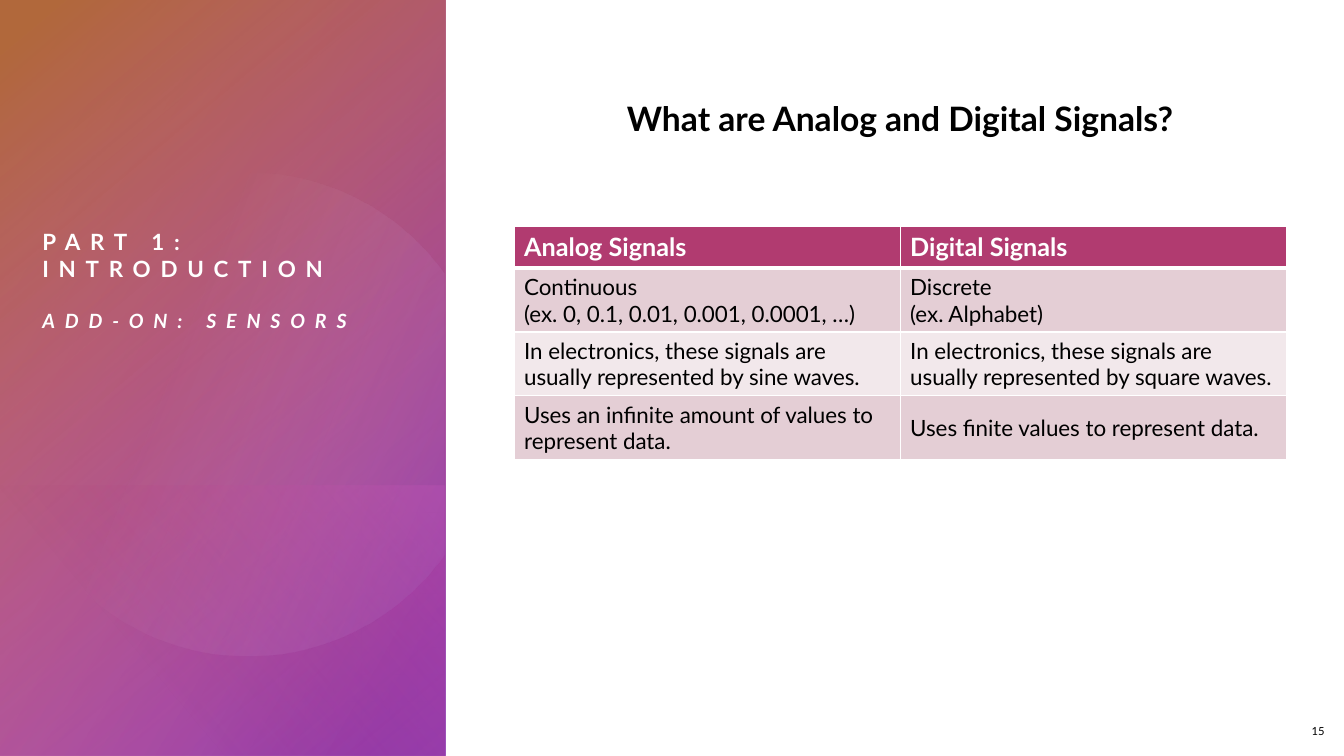
from math import acos, cos, degrees, radians, sin

from lxml.etree import SubElement
from pptx import Presentation
from pptx.dml.color import RGBColor
from pptx.enum.shapes import MSO_SHAPE
from pptx.enum.text import MSO_ANCHOR, PP_ALIGN
from pptx.oxml.ns import qn
from pptx.util import Pt

rgb = RGBColor.from_string
MAGENTA = "B13B70"


def paint_gradient(sp, angle, stops):
    """Fill with two (position %, colour, opacity %) stops; angle is clockwise."""
    sp.shadow.inherit = False
    sp.line.fill.background()
    sp.fill.gradient()
    sp.fill.gradient_angle = 360 - angle
    for stop, (position, color, _) in zip(sp.fill.gradient_stops, stops):
        stop.position = position / 100
        stop.color.rgb = rgb(color)
    for clr, (_, _, opacity) in zip(sp._element.iter(qn("a:srgbClr")), stops):
        SubElement(clr, qn("a:alpha"), val=str(opacity * 1000))


def set_font(p, size, color, bold=False, italic=False):
    p.font.name = "Lato"
    p.font.size = Pt(size)
    p.font.color.rgb = rgb(color)
    p.font.bold = bold
    p.font.italic = italic


prs = Presentation()
prs.slide_width, prs.slide_height = Pt(960), Pt(540)
s = prs.slides.add_slide(prs.slide_layouts[6])

# Left panel: rectangles turned by 90 degrees and mirrored
panels = [
    (-110.88, 110.88, 540, 318.24, 60, [(8, "903BB1", 100), (100, "C34DB4", 72)]),
    (-110.88, 110.88, 540, 318.24, 40, [(0, MAGENTA, 0), (96, "B1683B", 100)]),
    (62.64, 285.12, 192.96, 316.8, 130, [(2, "C34DB4", 35), (67, MAGENTA, 0)]),
]
for x, y, w, h, angle, stops in panels:
    sp = s.shapes.add_shape(MSO_SHAPE.RECTANGLE, Pt(x), Pt(y), Pt(w), Pt(h))
    sp.rotation = 90
    sp._element.spPr.find(qn("a:xfrm")).set("flipH", "1")
    paint_gradient(sp, angle, stops)

# Disc cut off by the right edge of the panel
turn, radius, edge = 101.6, 172.4, 140.4
cut = degrees(acos(edge / radius))
steps = 120
outline = []
for i in range(steps + 1):
    a = radians(cut + (360 - 2 * cut) * i / steps - turn)
    outline.append((Pt(169.9 + radius * cos(a)), Pt(287.2 + radius * sin(a))))
builder = s.shapes.build_freeform(*outline[0], scale=1.0)
builder.add_line_segments(outline[1:], close=True)
disc = builder.convert_to_shape()
disc.rotation = turn
paint_gradient(disc, 280, [(39, "F1D6E2", 0), (100, "903BB1", 29)])

# Text boxes: left, top, width, height, inset, alignment, paragraphs
texts = [
    (30.24, 81.36, 255.6, 237.6, 0, PP_ALIGN.LEFT,
     [("PART 1:\vINTRODUCTION", 16, "FFFFFF", True, False),
      ("ADD-ON: SENSORS", 14, "FFFFFF", True, True)]),
    (367.2, 37.44, 551.52, 87.84, 0, PP_ALIGN.CENTER,
     [("What are Analog and Digital Signals?", 24, "000000", True, False)]),
    (918.72, 504.72, 34.56, 35.28, 7.2, PP_ALIGN.RIGHT,
     [("15", 8, "000000", False, False)]),
]
frames = []
for x, y, w, h, inset, align, paragraphs in texts:
    tf = s.shapes.add_textbox(Pt(x), Pt(y), Pt(w), Pt(h)).text_frame
    tf.word_wrap = True
    tf.vertical_anchor = MSO_ANCHOR.MIDDLE
    tf.margin_left = tf.margin_right = Pt(inset)
    tf.margin_top = tf.margin_bottom = 0
    for i, (text, *font) in enumerate(paragraphs):
        p = tf.add_paragraph() if i else tf.paragraphs[0]
        p.text = text
        p.alignment = align
        set_font(p, *font)
    frames.append(tf)

title, heading, _ = frames
title.paragraphs[1].space_before = Pt(19)
for p in title.paragraphs:
    for r in p.runs:
        r.font._element.set("spc", "700")
heading.paragraphs[0].line_spacing = 1.2

# Comparison table
rows = [
    ("Analog Signals", "Digital Signals"),
    ("Continuous\n(ex. 0, 0.1, 0.01, 0.001, 0.0001, …)", "Discrete\n(ex. Alphabet)"),
    ("In electronics, these signals are usually represented by sine waves.",
     "In electronics, these signals are usually represented by square waves."),
    ("Uses an infinite amount of values to represent data.",
     "Uses finite values to represent data."),
]
table = s.shapes.add_table(len(rows), 2, Pt(367.2), Pt(162), Pt(551.52), Pt(118)).table
table.horz_banding = False
for i, row in enumerate(rows):
    table.rows[i].height = Pt(29.5)
    header = i == 0
    for j, text in enumerate(row):
        cell = table.cell(i, j)
        cell.text = text
        cell.vertical_anchor = MSO_ANCHOR.TOP if header else MSO_ANCHOR.MIDDLE
        for p in cell.text_frame.paragraphs:
            set_font(p, 18 if header else 16, "FFFFFF" if header else "000000", header)
        tcPr = cell._tc.get_or_add_tcPr()
        for side in "LRTB":
            thick = (side == "B" and i == 0) or (side == "T" and i == 1)
            ln = SubElement(tcPr, qn(f"a:ln{side}"), w=str(Pt(3 if thick else 1)))
            SubElement(SubElement(ln, qn("a:solidFill")), qn("a:srgbClr"), val="FFFFFF")
        cell.fill.solid()
        cell.fill.fore_color.rgb = rgb(MAGENTA if header else "E4CED5" if i % 2 else "F2E8EB")

prs.save("out.pptx")
